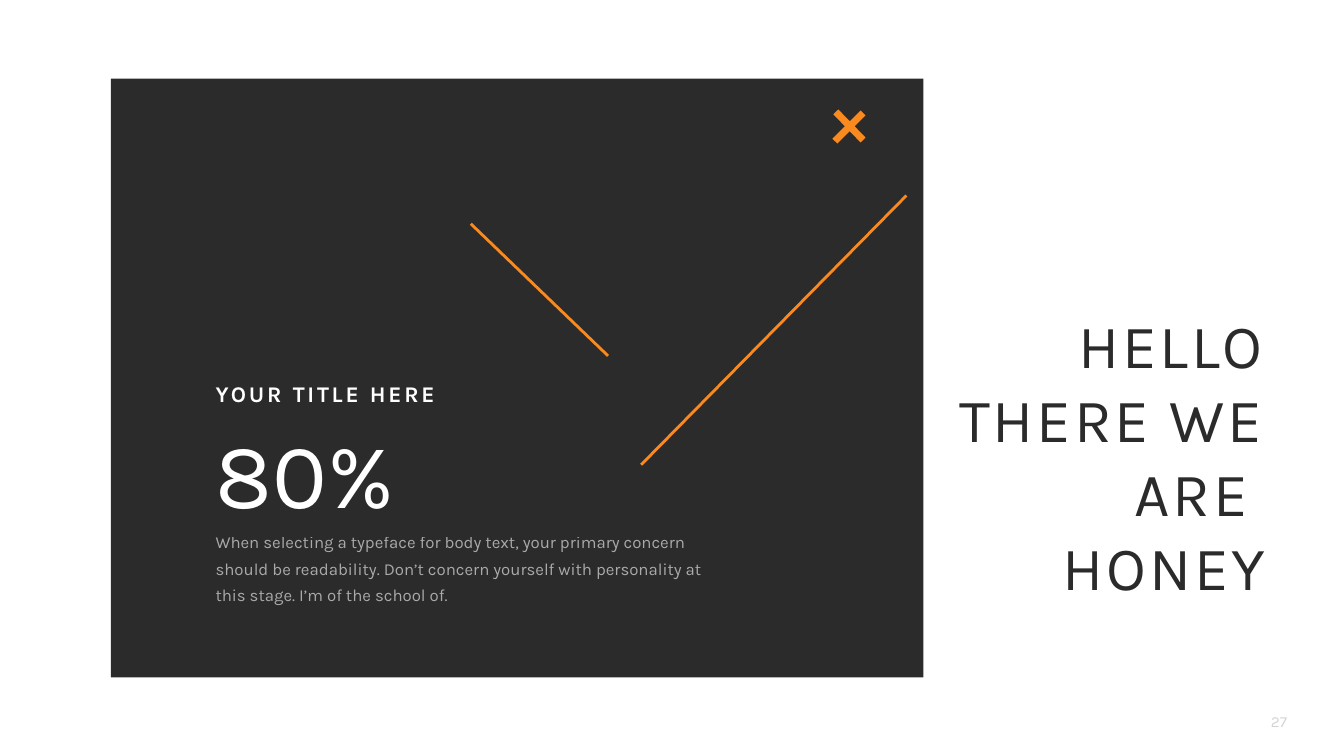
from lxml import etree
from pptx import Presentation
from pptx import util as u
from pptx.dml.color import RGBColor
from pptx.enum import shapes, text
from pptx.oxml import ns

CHARCOAL = RGBColor(0x2B, 0x2B, 0x2B)
WHITE = RGBColor(0xFF, 0xFF, 0xFF)
ORANGE = RGBColor(0xFA, 0x89, 0x1E)

deck = Presentation()
deck.slide_width = u.Inches(13.33)
deck.slide_height = u.Inches(7.5)
slide = deck.slides.add_slide(deck.slide_layouts[6])
column = deck.slide_width / 100
row = deck.slide_height / 100


def place(x, y, *size):
    lengths = [x * column, y * row]
    if size:
        lengths += [size[0] * column, size[1] * row]
    return [u.Emu(round(length)) for length in lengths]


def write(area, lines, size, color, align=text.PP_ALIGN.LEFT, spacing=1.0,
          bold=False, tracking=0, wrap=True):
    box = slide.shapes.add_textbox(*place(*area))
    frame = box.text_frame
    frame.text = lines
    frame.word_wrap = wrap
    for paragraph in frame.paragraphs:
        paragraph.alignment = align
        paragraph.line_spacing = spacing
        for run in paragraph.runs:
            run.font.name = "Karla"
            run.font.size = u.Pt(size)
            run.font.bold = bold
            run.font.color.rgb = color
            if tracking:
                run.font._element.set("spc", str(tracking * 100))
    return box


page_number = write((93.4, 94, 3.53, 2.8), "27", 11, CHARCOAL, text.PP_ALIGN.CENTER)
page_number.text_frame.vertical_anchor = text.MSO_ANCHOR.MIDDLE

veil, card = [slide.shapes.add_shape(shapes.MSO_SHAPE.RECTANGLE, *place(*area))
              for area in [(54.31, 0, 45.69, 100), (8.25, 10.4, 60.46, 79.2)]]
for panel, color in [(veil, WHITE), (card, CHARCOAL)]:
    panel.shadow.inherit = False
    panel.fill.solid()
    panel.fill.fore_color.rgb = color
    panel.line.fill.background()

left = 15.3
body = write((left, 68.93, 39.01, 11.87),
             "When selecting a typeface for body text, your primary concern should be "
             "readability. Don’t concern yourself with personality at this stage. "
             "I’m of the school of.", 12, WHITE, spacing=1.3)
write((left, 50, 39.01, 5.47), "YOUR TITLE HERE", 16, WHITE,
      spacing=0.9, bold=True, tracking=2)
write((left, 54.4, 15.08, 16.13), "80%", 66, WHITE, wrap=False)

for translucent, percent in [(veil, 80), (body, 60)]:
    tint = translucent._element.xpath(".//a:srgbClr")[0]
    etree.SubElement(tint, ns.qn("a:alpha")).set("val", str(percent * 1000))

strokes = [
    ((64.22, 14.93), (62.12, 18.67), 5),
    ((64.22, 18.53), (62.19, 14.8), 5),
    ((35.03, 29.6), (45.24, 47.07), 2),
    ((67.44, 25.87), (47.71, 61.47), 2),
]
for start, end, weight in strokes:
    stroke = slide.shapes.add_connector(shapes.MSO_CONNECTOR.STRAIGHT,
                                        *place(*start), *place(*end))
    stroke.line.color.rgb = ORANGE
    stroke.line.width = u.Pt(weight)
    etree.SubElement(stroke._element.spPr, ns.qn("a:effectLst"))

write((65.27, 40, 29.63, 40.8), "HELLO THERE WE ARE \nHONEY", 44, CHARCOAL,
      text.PP_ALIGN.RIGHT, tracking=2)

deck.save("out.pptx")
